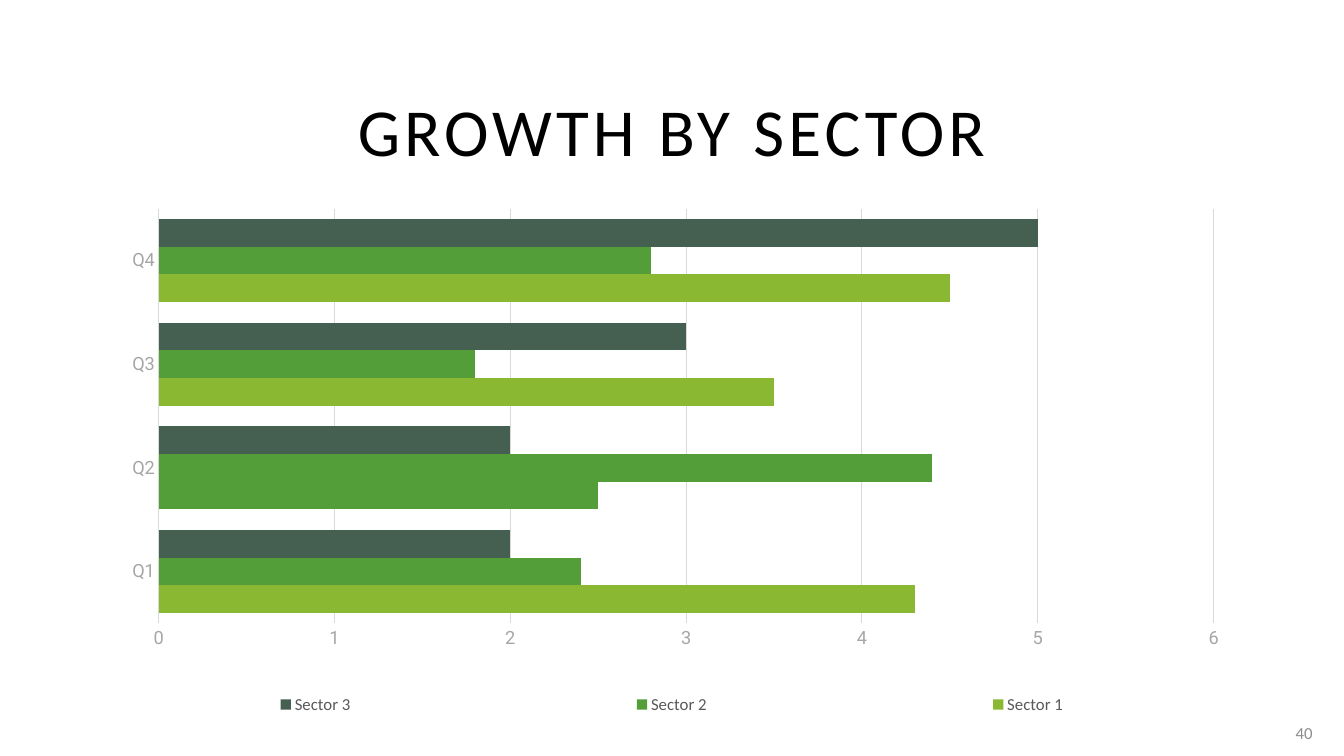
"""Build the slide that compares quarterly growth by sector."""
from dataclasses import dataclass, field

from pptx import Presentation
from pptx.chart import data as chart_data
from pptx.dml.color import RGBColor
from pptx.enum import chart as ch, text
from pptx.oxml import ns, parse_xml
from pptx.util import Pt

BLACK = RGBColor(0x00, 0x00, 0x00)
WHITE = RGBColor(0xFF, 0xFF, 0xFF)
PAGE_GRAY = RGBColor(0x8C, 0x8C, 0x8C)
LEGEND_GRAY = RGBColor(0x59, 0x59, 0x59)
AXIS_GRAY = RGBColor(0xA6, 0xA6, 0xA6)
GRID_GRAY = RGBColor(0xD9, 0xD9, 0xD9)
LIME = RGBColor(0x8A, 0xB8, 0x33)
GREEN = RGBColor(0x54, 0x9E, 0x39)
DARK_GREEN = RGBColor(0x45, 0x5F, 0x51)


@dataclass(frozen=True)
class Sector:
    name: str
    values: tuple[float, ...]
    color: RGBColor
    point_colors: dict[int, RGBColor] = field(default_factory=dict)


@dataclass(frozen=True)
class Box:
    left: float
    top: float
    width: float
    height: float

    def lengths(self) -> tuple[int, ...]:
        return tuple(Pt(n) for n in (self.left, self.top, self.width, self.height))


QUARTERS = ("Q1", "Q2", "Q3", "Q4")
SECTORS = (
    Sector("Sector 1", (4.3, 2.5, 3.5, 4.5), LIME, {1: GREEN}),
    Sector("Sector 2", (2.4, 4.4, 1.8, 2.8), GREEN),
    Sector("Sector 3", (2, 2, 3, 5), DARK_GREEN),
)
TITLE_BOX = Box(46.8, 60.5, 866.2, 64.8)
CHART_BOX = Box(0, 108, 960, 432)
NUMBER_BOX = Box(909.4, 509, 35.3, 28.8)
PLOT_SHARE = Box(0.118, 0.095, 0.785, 0.686)
LEGEND_SHARE = Box(0, 0.88, 1, 0.07)


def assign(target, values: dict) -> None:
    for name, value in values.items():
        setattr(target, name, value)


def style_font(font, name: str, size: float, color: RGBColor) -> None:
    assign(font, {"name": name, "size": Pt(size), "bold": False})
    font.color.rgb = color


def style_line(line, color: RGBColor) -> None:
    line.color.rgb = color
    line.width = Pt(0.75)


def fill_solid(target, color: RGBColor) -> None:
    target.format.fill.solid()
    target.format.fill.fore_color.rgb = color


def write_text(shape, words: str, alignment, size: float, color: RGBColor):
    frame = shape.text_frame
    assign(frame, {"word_wrap": True, "auto_size": text.MSO_AUTO_SIZE.NONE,
                   "vertical_anchor": text.MSO_ANCHOR.MIDDLE})
    paragraph = frame.paragraphs[0]
    paragraph.alignment = alignment
    run = paragraph.add_run()
    run.text = words
    style_font(run.font, "Calibri", size, color)
    return run


def place_by_share(parent, index: int, share: Box, target: str = "") -> None:
    existing = parent.find(ns.qn("c:layout"))
    if existing is not None:
        parent.remove(existing)
    parent.insert(index, parse_xml(
        f'<c:layout {ns.nsdecls("c")}><c:manualLayout>{target}'
        '<c:xMode val="edge"/><c:yMode val="edge"/>'
        f'<c:x val="{share.left}"/><c:y val="{share.top}"/>'
        f'<c:w val="{share.width}"/><c:h val="{share.height}"/>'
        '</c:manualLayout></c:layout>'))


def add_title(slide) -> None:
    title = slide.shapes.title
    assign(title, dict(zip(("left", "top", "width", "height"), TITLE_BOX.lengths())))
    run = write_text(title, "GROWTH BY SECTOR", text.PP_ALIGN.CENTER, 48, BLACK)
    run.font._element.set("spc", "300")


def style_axes(chart) -> None:
    for axis in (chart.category_axis, chart.value_axis):
        assign(axis, {"major_tick_mark": ch.XL_TICK_MARK.NONE,
                      "minor_tick_mark": ch.XL_TICK_MARK.NONE})
        style_font(axis.tick_labels.font, "Roboto", 13, AXIS_GRAY)
    style_line(chart.category_axis.format.line, GRID_GRAY)
    value_axis = chart.value_axis
    assign(value_axis, {"minimum_scale": 0, "maximum_scale": 6, "major_unit": 1,
                        "has_major_gridlines": True})
    value_axis.format.line.fill.background()
    style_line(value_axis.major_gridlines.format.line, GRID_GRAY)


def add_growth_chart(slide) -> None:
    growth = chart_data.CategoryChartData()
    growth.categories = QUARTERS
    for sector in SECTORS:
        growth.add_series(sector.name, sector.values)
    chart = slide.shapes.add_chart(
        ch.XL_CHART_TYPE.BAR_CLUSTERED, *CHART_BOX.lengths(), growth).chart
    assign(chart, {"has_title": False, "has_legend": True})
    style_font(chart.font, "Roboto", 15, BLACK)
    plot = chart.plots[0]
    assign(plot, {"gap_width": 75, "overlap": 0, "vary_by_categories": False})
    for series, sector in zip(plot.series, SECTORS):
        series.invert_if_negative = False
        fill_solid(series, sector.color)
        for index, color in sector.point_colors.items():
            fill_solid(series.points[index], color)
    style_axes(chart)
    legend = chart.legend
    assign(legend, {"position": ch.XL_LEGEND_POSITION.BOTTOM, "include_in_layout": False})
    style_font(legend.font, "Calibri", 12, LEGEND_GRAY)
    place_by_share(legend._element, 1, LEGEND_SHARE)
    plot_area = chart._chartSpace.chart.plotArea
    place_by_share(plot_area, 0, PLOT_SHARE, '<c:layoutTarget val="inner"/>')


def main() -> None:
    presentation = Presentation()
    assign(presentation, {"slide_width": Pt(960), "slide_height": Pt(540)})
    slide = presentation.slides.add_slide(presentation.slide_layouts[5])
    slide.background.fill.solid()
    slide.background.fill.fore_color.rgb = WHITE
    add_title(slide)
    add_growth_chart(slide)
    number = slide.shapes.add_textbox(*NUMBER_BOX.lengths())
    write_text(number, "40", text.PP_ALIGN.RIGHT, 12, PAGE_GRAY)
    presentation.save("out.pptx")


if __name__ == "__main__":
    main()
